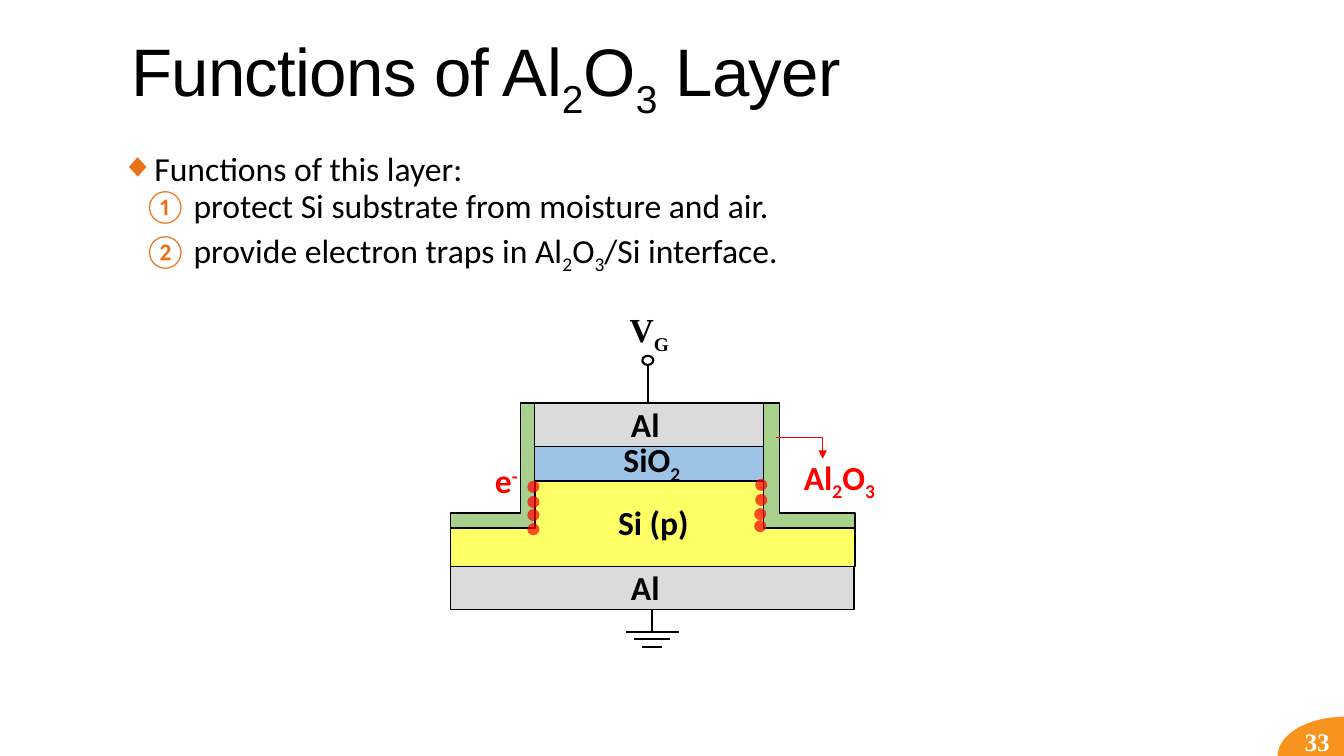
from dataclasses import dataclass

from lxml.etree import SubElement
from pptx import Presentation
from pptx.dml.color import RGBColor
from pptx.enum.shapes import MSO_CONNECTOR, MSO_SHAPE
from pptx.enum.text import MSO_ANCHOR, MSO_AUTO_SIZE, PP_ALIGN
from pptx.oxml.ns import qn
from pptx.util import Inches, Pt


@dataclass(frozen=True)
class Theme:
    """Colours, fonts and type sizes of the slide."""
    black: str = "000000"
    white: str = "FFFFFF"
    red: str = "FF0000"
    bullet: str = "EC7016"
    corner: str = "F8931D"
    metal: str = "DBDBDB"
    silicon: str = "FFFF66"
    dioxide: str = "9DC3E6"
    alumina: str = "A9D18E"
    heading: str = "Arial"
    sans: str = "Calibri"
    serif: str = "Times New Roman"
    title_size: int = 48
    text_size: int = 24
    number_size: int = 18


THEME = Theme()


def write(para, text, font=THEME.sans, size=THEME.text_size, color=THEME.black,
          bold=False, shift=-25, spacing=0):
    """Write text whose every second |-separated part is shifted off the baseline."""
    for index, part in enumerate(text.split("|")):
        if not part:
            continue
        span = para.add_run()
        span.text = part
        span.font.name, span.font.size, span.font.bold = font, Pt(size), bold
        span.font.color.rgb = RGBColor.from_string(color)
        properties = span.font._element
        if index % 2:
            properties.set("baseline", str(shift * 1000))
        if spacing:
            properties.set("spc", str(round(spacing * 100)))


def place(shape, left, top, width, height):
    """Move and size a shape."""
    shape.left, shape.top = Inches(left), Inches(top)
    shape.width, shape.height = Inches(width), Inches(height)


def paint(shape, fill, line=None, weight=1, opacity=100):
    """Give a shape its fill and outline without a shadow."""
    shape.shadow.inherit = False
    shape.fill.solid()
    shape.fill.fore_color.rgb = RGBColor.from_string(fill)
    if opacity < 100:
        color = shape._element.spPr.find(qn("a:solidFill"))[0]
        SubElement(color, qn("a:alpha"), val=str(opacity * 1000))
    if line:
        shape.line.color.rgb = RGBColor.from_string(line)
        shape.line.width = Pt(weight)
    else:
        shape.line.fill.background()


def add_preset(page, kind, left, top, width, height, fill, **look):
    """Add a painted preset shape."""
    shape = page.shapes.add_shape(kind, Inches(left), Inches(top), Inches(width), Inches(height))
    paint(shape, fill, **look)
    return shape


def add_outline(page, points, fill):
    """Add a closed polygon."""
    corners = [(Inches(x), Inches(y)) for x, y in points]
    builder = page.shapes.build_freeform(*corners[0])
    builder.add_line_segments(corners[1:], close=True)
    paint(builder.convert_to_shape(), fill, line=THEME.black)


def add_sidewall(page, inner, outer, edge):
    """Add an L-shaped alumina layer beside the gate stack."""
    add_outline(page, [(inner, 4), (outer, 4), (outer, 5.09), (edge, 5.09),
                       (edge, 5.24), (inner, 5.24)], THEME.alumina)


def add_label(page, text, left, top, width, height=0.5, wrap=True,
              align=PP_ALIGN.CENTER, **style):
    """Add a bold label."""
    box = page.shapes.add_textbox(Inches(left), Inches(top), Inches(width), Inches(height))
    frame = box.text_frame
    frame.word_wrap, frame.auto_size = wrap, MSO_AUTO_SIZE.SHAPE_TO_FIT_TEXT
    frame.paragraphs[0].alignment = align
    write(frame.paragraphs[0], text, bold=True, **style)


def add_wire(page, start, end, kind=MSO_CONNECTOR.STRAIGHT, color=THEME.black, weight=1.5):
    """Add a connector without a shadow."""
    wire = page.shapes.add_connector(kind, *map(Inches, start + end))
    wire.line.color.rgb = RGBColor.from_string(color)
    wire.line.width = Pt(weight)
    SubElement(wire._element.spPr, qn("a:effectLst"))
    return wire


def add_pointer(page, start, end):
    """Add a red arrow with one right-angle bend."""
    wire = add_wire(page, start, end, MSO_CONNECTOR.ELBOW, THEME.red, 1)
    wire._element.spPr.find(qn("a:prstGeom")).set("prst", "bentConnector2")
    SubElement(wire.line._get_or_add_ln(), qn("a:tailEnd"), type="triangle")


def add_item(para, text, level, margin, hang, before, after, bullet, **kind):
    """Fill one list paragraph with its bullet and spacing."""
    para.level, para.line_spacing = level, 0.8
    para.space_before, para.space_after = Pt(before), Pt(after)
    properties = para._p.get_or_add_pPr()
    properties.set("marL", str(Inches(margin)))
    properties.set("indent", str(-Inches(hang)))
    SubElement(SubElement(properties, qn("a:buClr")), qn("a:srgbClr"), val=THEME.bullet)
    SubElement(properties, qn(bullet), **kind)
    write(para, text)


def fill_title(title):
    """Write the slide title."""
    place(title, 1.2, 0.2, 11, 1.06)
    frame = title.text_frame
    frame.auto_size, frame.vertical_anchor = MSO_AUTO_SIZE.NONE, MSO_ANCHOR.MIDDLE
    para = frame.paragraphs[0]
    para.alignment, para.line_spacing = PP_ALIGN.LEFT, 0.85
    write(para, "Functions of Al|2|O|3| Layer", font=THEME.heading,
          size=THEME.title_size, spacing=-0.5)


def fill_list(body):
    """Write the list of functions."""
    place(body, 1.2, 1.49, 11, 1.3)
    frame = body.text_frame
    frame.auto_size, frame.vertical_anchor = MSO_AUTO_SIZE.NONE, MSO_ANCHOR.TOP
    frame.margin_left = frame.margin_right = 0
    add_item(frame.paragraphs[0], "Functions of this layer:", 0, 0.1, 0.1, 12, 2,
             "a:buChar", char="◆")
    for text in ("protect Si substrate from moisture and air.",
                 "provide electron traps in Al|2|O|3|/Si interface."):
        add_item(frame.add_paragraph(), text, 1, 0.72, 0.5, 2, 4,
                 "a:buAutoNum", type="circleNumWdWhitePlain")


def draw_device(page):
    """Draw the layer stack with its labels."""
    rectangle, black = MSO_SHAPE.RECTANGLE, THEME.black
    gate = add_preset(page, rectangle, 5.29, 4, 2.28, 0.43, THEME.metal, line=black)
    add_outline(page, [(5.31, 4.77), (7.57, 4.77), (7.57, 5.24), (8.48, 5.24),
                       (8.48, 5.62), (4.47, 5.62), (4.47, 5.24), (5.31, 5.24)], THEME.silicon)
    add_preset(page, rectangle, 5.29, 4.43, 2.28, 0.34, THEME.dioxide, line=black)
    add_sidewall(page, 5.3, 5.16, 4.47)
    add_sidewall(page, 7.57, 7.73, 8.48)
    contact = add_preset(page, rectangle, 4.47, 5.62, 4, 0.43, THEME.metal, line=black)
    add_label(page, "Al", 5.95, 3.96, 0.9)
    add_label(page, "SiO|2", 5.88, 4.31, 1.17)
    add_label(page, "Si (p)", 5.82, 4.93, 1.32)
    add_label(page, "Al", 5.95, 5.58, 0.9)
    add_label(page, "Al|2|O|3", 7.79, 4.48, 1.07, color=THEME.red)
    add_pointer(page, (7.7, 4.34), (8.16, 4.55))
    return gate, contact


def draw_terminals(page, gate, contact):
    """Draw the gate terminal and the ground symbol."""
    add_preset(page, MSO_SHAPE.OVAL, 6.37, 3.53, 0.11, 0.09, THEME.white,
               line=THEME.black, weight=1.5)
    add_label(page, "V|G", 6.08, 3.02, 0.72, font=THEME.serif)
    add_wire(page, (6.43, 3.61), (6.43, 4)).end_connect(gate, 0)
    axis = 6.47
    add_wire(page, (axis, 6.05), (axis, 6.27)).begin_connect(contact, 2)
    for y, half in ((6.27, 0.26), (6.34, 0.18), (6.42, 0.1)):
        add_wire(page, (axis - half, y), (axis + half, y))


def draw_electrons(page):
    """Draw the trapped electrons on both sides of the silicon."""
    columns = ([(5.23, y) for y in (4.77, 4.92, 5.05, 5.19)]
               + [(7.49, 4.75), (7.49, 4.9), (7.48, 5.04), (7.48, 5.16)])
    for left, top in columns:
        add_preset(page, MSO_SHAPE.OVAL, left, top, 0.12, 0.12, THEME.red, opacity=70)
    add_label(page, "e|-", 4.81, 4.51, 0.44, wrap=False, align=PP_ALIGN.LEFT,
              color=THEME.red, shift=30)


def draw_page_number(page):
    """Draw the numbered corner."""
    corner = add_preset(page, MSO_SHAPE.PIE, 12.67, 7.11, 1.34, 0.79, THEME.corner)
    corner.adjustments[0], corner.adjustments[1] = 107.68, 162
    add_label(page, "33", 12.84, 7.16, 0.5, 0.4, wrap=False, align=PP_ALIGN.LEFT,
              font=THEME.serif, size=THEME.number_size, color=THEME.white)


def main():
    """Build and save the slide."""
    deck = Presentation()
    deck.slide_width, deck.slide_height = Inches(13.33), Inches(7.5)
    page = deck.slides.add_slide(deck.slide_layouts[1])
    fill_title(page.shapes.title)
    fill_list(page.placeholders[1])
    gate, contact = draw_device(page)
    draw_terminals(page, gate, contact)
    draw_electrons(page)
    draw_page_number(page)
    deck.save("out.pptx")


if __name__ == "__main__":
    main()
